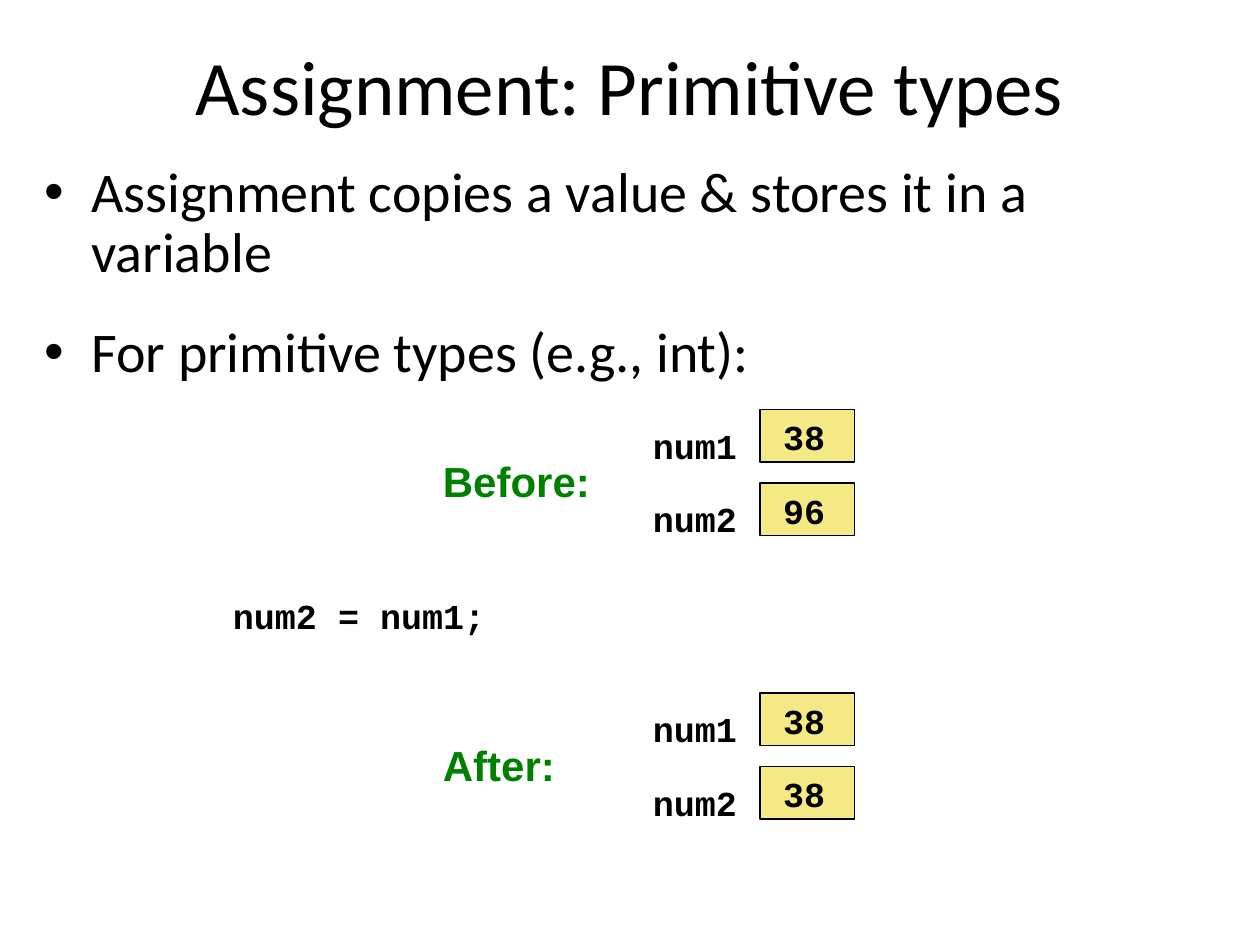
from pptx import Presentation
from pptx.dml.color import RGBColor
from pptx.enum.shapes import MSO_SHAPE
from pptx.enum.text import MSO_ANCHOR, MSO_AUTO_SIZE, PP_ALIGN
from pptx.util import Pt

RECT = MSO_SHAPE.RECTANGLE
MIDDLE, TOP = MSO_ANCHOR.MIDDLE, MSO_ANCHOR.TOP
FIXED, GROW = MSO_AUTO_SIZE.NONE, MSO_AUTO_SIZE.SHAPE_TO_FIT_TEXT
CENTER, LEFT = PP_ALIGN.CENTER, PP_ALIGN.LEFT

BLACK, GREEN, YELLOW = "000000", "008000", "F5E985"
CODE, SANS, MAIN = "Courier New", "Arial", "Calibri"
ROW = 42  # distance between variable rows


def color(code):
    return RGBColor.from_string(code)


def write(para, text, size, font, ink=BLACK, bold=False):
    run = para.add_run()
    run.text = text
    run.font.size = Pt(size)
    run.font.name = font
    run.font.bold = bold
    run.font.color.rgb = color(ink)


def place(holder, left, top, width, height, anchor):
    holder.left, holder.top = Pt(left), Pt(top)
    holder.width, holder.height = Pt(width), Pt(height)
    frame = holder.text_frame
    frame.auto_size = FIXED
    frame.vertical_anchor = anchor
    return frame


def add_list(frame, items):
    for i, item in enumerate(items):
        para = frame.add_paragraph() if i else frame.paragraphs[0]
        para.alignment = LEFT
        para.line_spacing = 0.9
        para.space_before = Pt(22.4 if i else 0)
        write(para, item, 32, MAIN)


def label(shapes, text, left, top, width, height=31,
          size=20, font=CODE, ink=BLACK):
    box = shapes.add_textbox(Pt(left), Pt(top), Pt(width), Pt(height))
    frame = box.text_frame
    frame.word_wrap = False
    frame.auto_size = GROW
    write(frame.paragraphs[0], text, size, font, ink, True)


def cell(shapes, name, value, top):
    """One variable: its storage box, name and value."""
    box = shapes.add_shape(RECT, Pt(434.3), Pt(top), Pt(54), Pt(30))
    box.shadow.inherit = False
    box.fill.solid()
    box.fill.fore_color.rgb = color(YELLOW)
    box.line.color.rgb = color(BLACK)
    box.line.width = Pt(0.75)
    label(shapes, name, 366, top + 5, 63)
    label(shapes, value, 440.4, top, 39)


def state(slide, title, width, values, top):
    """The variables at one moment, with a heading."""
    shapes = slide.shapes.add_group_shape().shapes
    for i, value in enumerate(values):
        cell(shapes, f"num{i + 1}", value, top + i * ROW)
    label(shapes, title, 246, top + 23, width, 36, 24, SANS, GREEN)


def main():
    deck = Presentation()
    deck.slide_width, deck.slide_height = Pt(720), Pt(540)
    slide = deck.slides.add_slide(deck.slide_layouts[1])

    # Title and list
    title, body = slide.placeholders
    head = place(title, 36, 3.6, 648, 90, MIDDLE).paragraphs[0]
    head.alignment = CENTER
    write(head, "Assignment: Primitive types", 44, MAIN)
    add_list(place(body, 18, 90, 684, 140.4, TOP), [
        "Assignment copies a value & stores it in a variable",
        "For primitive types (e.g., int):",
    ])

    # Memory before and after the statement
    state(slide, "Before:", 99, ["38", "96"], 234)
    label(slide.shapes, "num2 = num1;", 126, 336, 159)
    state(slide, "After:", 79, ["38", "38"], 396)

    deck.save("out.pptx")


main()
